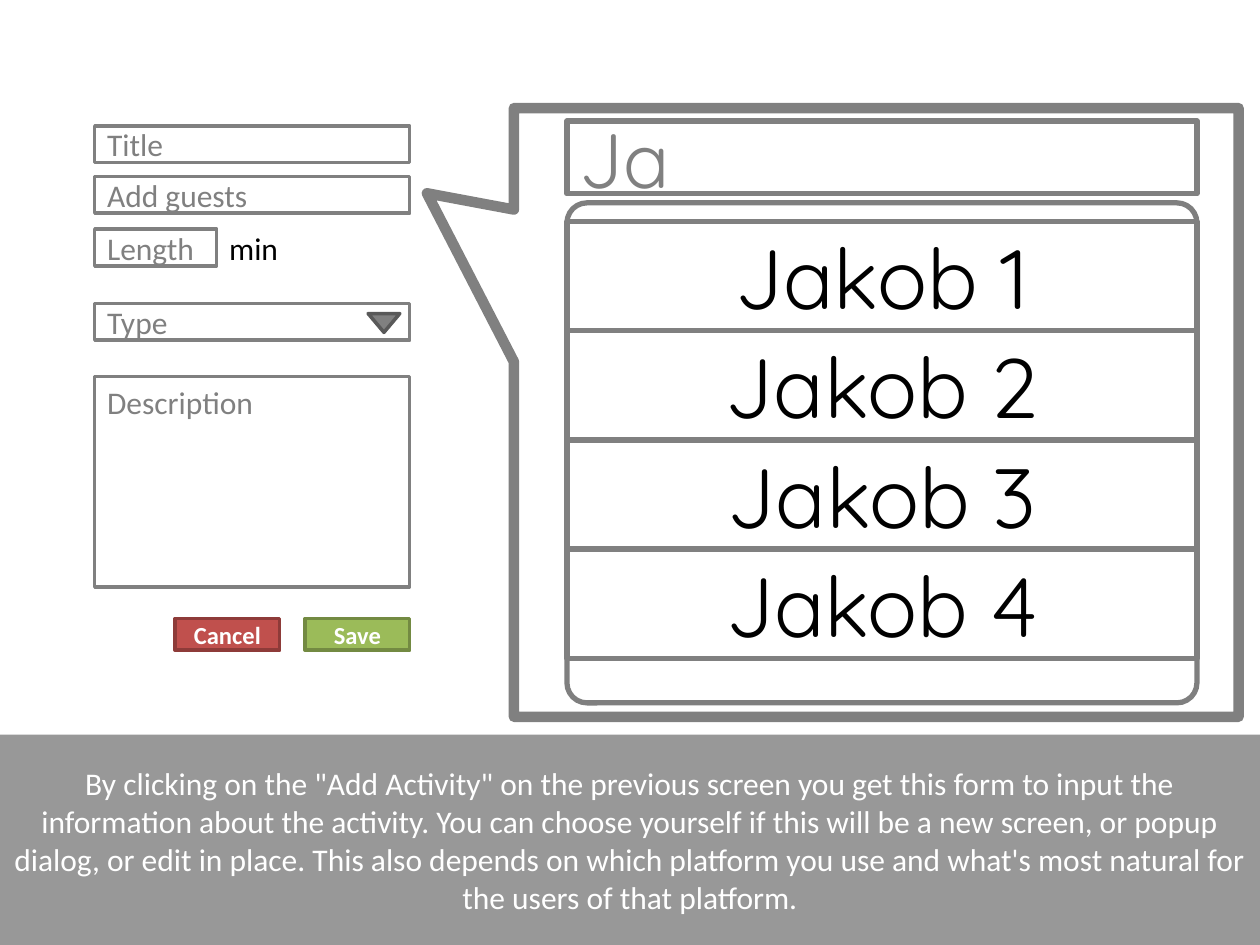
import pptx
import pptx.dml.color
import pptx.enum.shapes
import pptx.enum.text
import pptx.oxml.ns
import pptx.util
from lxml import etree

Cm = pptx.util.Cm
Pt = pptx.util.Pt
RGBColor = pptx.dml.color.RGBColor
SHAPE = pptx.enum.shapes.MSO_SHAPE
ALIGN = pptx.enum.text.PP_ALIGN
ANCHOR = pptx.enum.text.MSO_ANCHOR
qn = pptx.oxml.ns.qn

WHITE = RGBColor(0xFF, 0xFF, 0xFF)
BLACK = RGBColor(0x00, 0x00, 0x00)
GRAY = RGBColor(0x80, 0x80, 0x80)
DARK_GRAY = RGBColor(0x59, 0x59, 0x59)
BAND_GRAY = RGBColor(0x7F, 0x7F, 0x7F)
GREEN = RGBColor(0x9B, 0xBB, 0x59)
DARK_GREEN = RGBColor(0x73, 0x8A, 0x42)
RED = RGBColor(0xC0, 0x50, 0x4D)
DARK_RED = RGBColor(0x8E, 0x3B, 0x39)

# Shared measures in centimetres
FORM_LEFT, FORM_WIDTH, FIELD_HEIGHT = 1.91, 6.35, 0.74
LIST_LEFT, LIST_WIDTH = 11.43, 12.7
ROW_TOP, ROW_HEIGHT = 4.47, 2.2


def add_box(slide, kind, left, top, width, height, fill=None, line=None, weight=2):
    box = slide.shapes.add_shape(kind, Cm(left), Cm(top), Cm(width), Cm(height))
    box.shadow.inherit = False
    if fill is None:
        box.fill.background()
    else:
        box.fill.solid()
        box.fill.fore_color.rgb = fill
    if line is None:
        box.line.fill.background()
    else:
        box.line.color.rgb = line
        box.line.width = Pt(weight)
    return box


def write(box, text, size, color, font="Calibri", align=ALIGN.LEFT,
          anchor=ANCHOR.MIDDLE, bold=False):
    frame = box.text_frame
    frame.word_wrap = True
    frame.vertical_anchor = anchor
    paragraph = frame.paragraphs[0]
    paragraph.alignment = align
    run = paragraph.add_run()
    run.text = text
    run.font.name = font
    run.font.size = Pt(size)
    run.font.bold = bold
    run.font.color.rgb = color


def add_field(slide, hint, top, width=FORM_WIDTH, height=FIELD_HEIGHT,
              anchor=ANCHOR.MIDDLE):
    field = add_box(slide, SHAPE.RECTANGLE, FORM_LEFT, top, width, height, WHITE, GRAY)
    write(field, hint, 18, GRAY, anchor=anchor)


def add_button(slide, caption, left, fill, line):
    button = add_box(slide, SHAPE.RECTANGLE, left, 12.47, 2.11, 0.64, fill, line)
    write(button, caption, 14, WHITE, align=ALIGN.CENTER, bold=True)


def add_list_box(slide, text, top, height, size, color, align):
    entry = add_box(slide, SHAPE.RECTANGLE, LIST_LEFT, top, LIST_WIDTH, height,
                    WHITE, GRAY, 3)
    write(entry, text, size, color, "Quicksand", align)


def set_opacity(shape, percent):
    color = shape.fill._xPr.find(qn("a:solidFill")).find(qn("a:srgbClr"))
    etree.SubElement(color, qn("a:alpha")).set("val", str(percent * 1000))


def add_form(slide):
    add_field(slide, "Title", 2.54)
    add_field(slide, "Add guests", 3.56)
    add_field(slide, "Length", 4.62, width=2.46)
    add_field(slide, "Type", 6.12)
    add_field(slide, "Description", 7.59, height=4.24, anchor=ANCHOR.TOP)

    # Unit beside the length field
    unit = slide.shapes.add_textbox(Cm(4.37), Cm(4.5), Cm(2.54), Cm(1.02))
    write(unit, "min", 18, BLACK, anchor=ANCHOR.TOP)

    # Drop-down arrow of the type field
    arrow = add_box(slide, SHAPE.ISOSCELES_TRIANGLE, 7.42, 6.32, 0.64, 0.38,
                    GRAY, DARK_GRAY)
    arrow.rotation = 180

    add_button(slide, "Save", 6.15, GREEN, DARK_GREEN)
    add_button(slide, "Cancel", 3.53, RED, DARK_RED)


def add_explanation(slide):
    band = add_box(slide, SHAPE.RECTANGLE, 0, 14.81, 25.4, 4.24, BAND_GRAY)
    set_opacity(band, 80)
    write(band, "By clicking on the \"Add Activity\" on the previous screen you get "
          "this form to input the information about the activity. You can choose "
          "yourself if this will be a new screen, or popup dialog, or edit in place. "
          "This also depends on which platform you use and what's most natural for "
          "the users of that platform.", 18, WHITE, align=ALIGN.CENTER)


def add_guest_search(slide):
    add_list_box(slide, "Ja", 2.44, 1.47, 44, GRAY, ALIGN.LEFT)

    # Suggestion list
    frame = add_box(slide, SHAPE.ROUNDED_RECTANGLE, LIST_LEFT, 4.09, LIST_WIDTH, 10.08,
                    line=BAND_GRAY, weight=3)
    frame.adjustments[0] = 0.04
    for row in range(4):
        add_list_box(slide, f"Jakob {row + 1}", ROW_TOP + row * ROW_HEIGHT, ROW_HEIGHT,
                     48, BLACK, ALIGN.CENTER)

    # Callout pointing at the guests field
    callout = add_box(slide, SHAPE.RECTANGULAR_CALLOUT, 10.36, 2.18, 14.61, 12.27,
                      line=GRAY, weight=6)
    callout.adjustments[0] = -0.62
    callout.adjustments[1] = -0.36


def main():
    presentation = pptx.Presentation()
    presentation.slide_width = Cm(25.4)
    presentation.slide_height = Cm(19.05)
    slide = presentation.slides.add_slide(presentation.slide_layouts[6])
    add_form(slide)
    add_explanation(slide)
    add_guest_search(slide)
    presentation.save("out.pptx")


if __name__ == "__main__":
    main()
